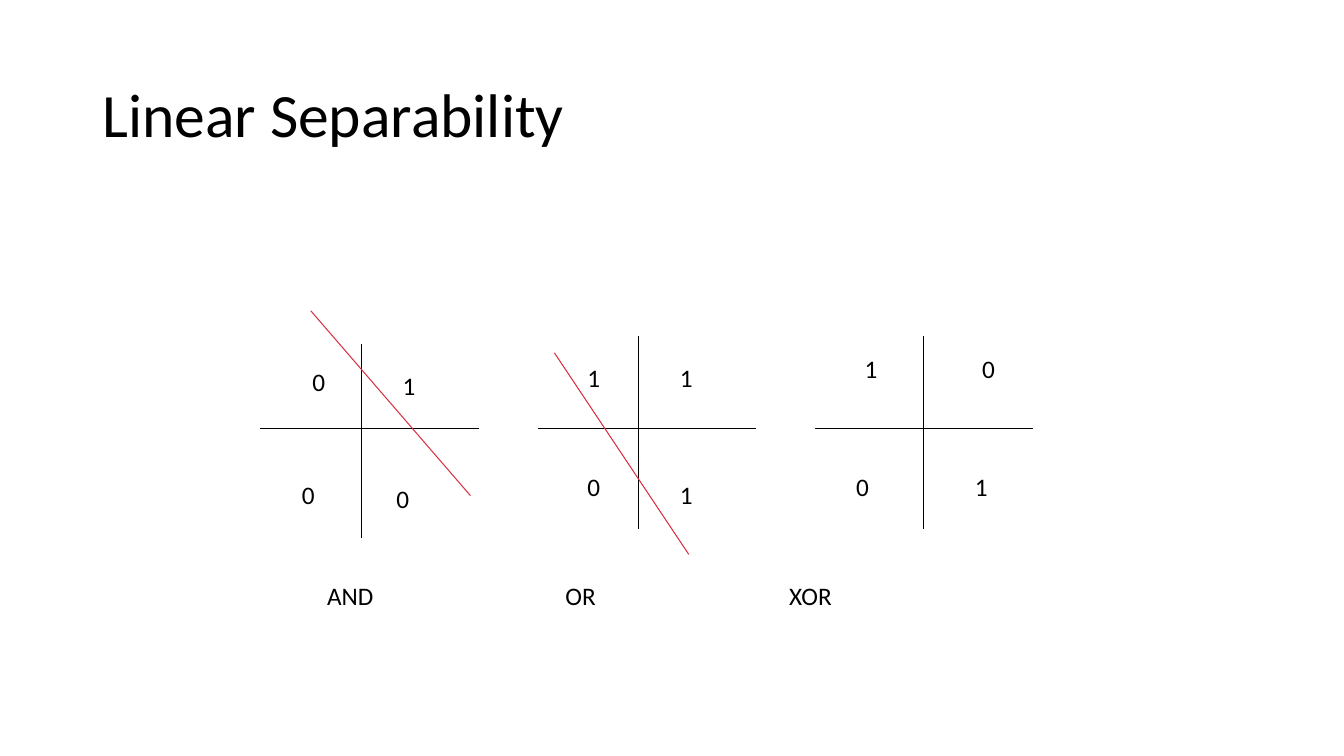
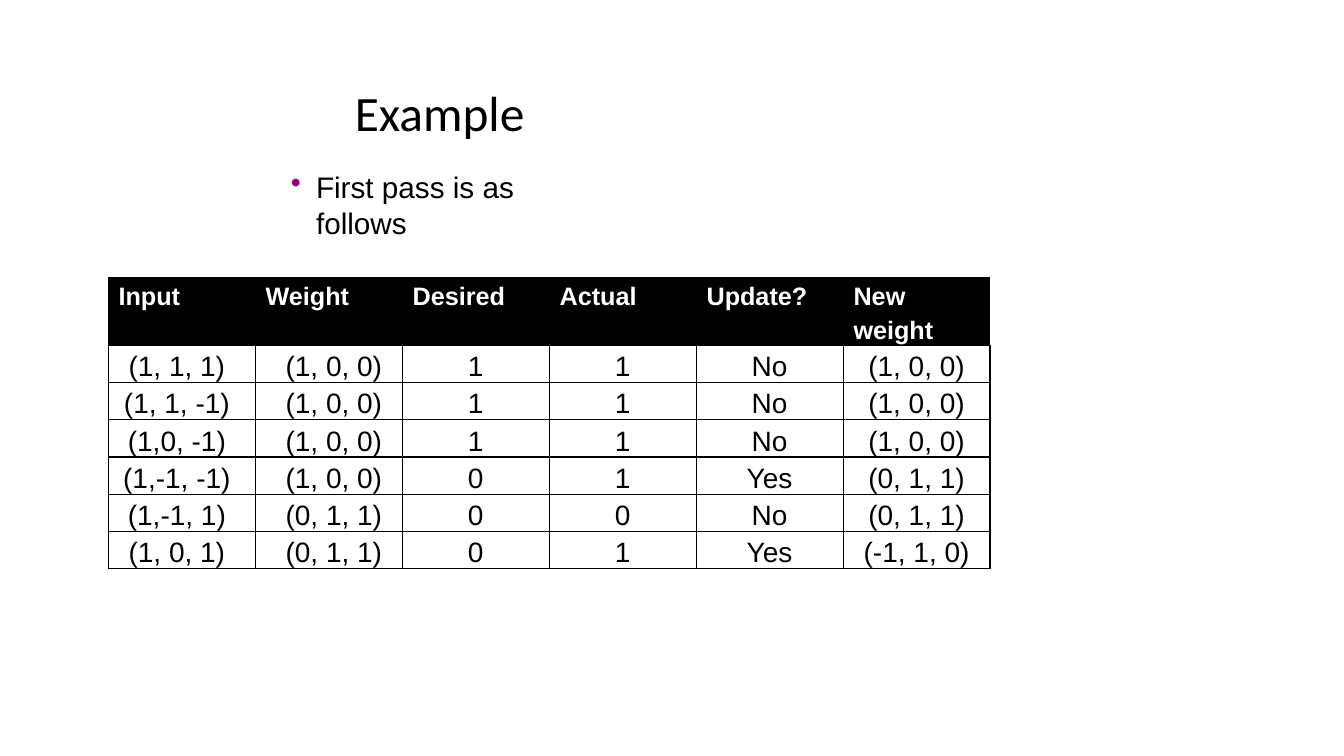
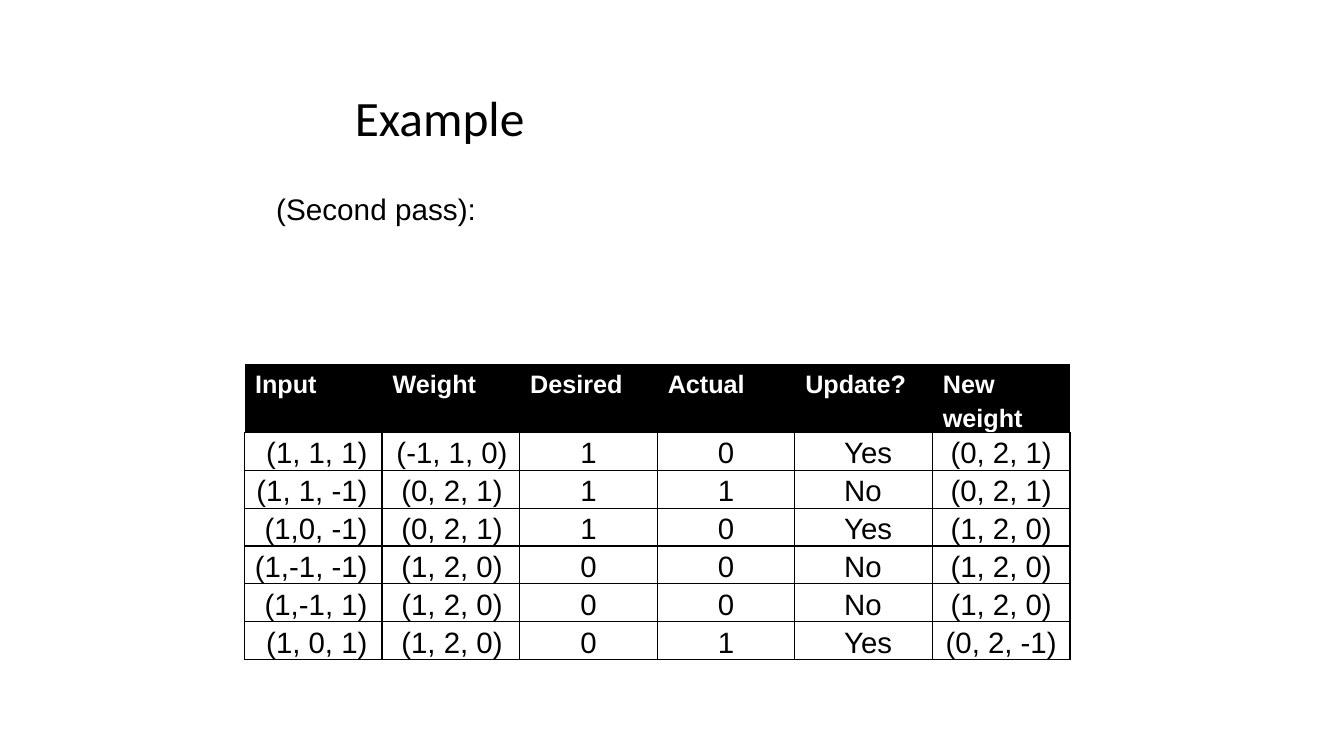
from lxml.etree import SubElement
from pptx import Presentation
from pptx.dml.color import RGBColor
from pptx.enum.shapes import MSO_CONNECTOR
from pptx.enum.text import MSO_ANCHOR, PP_ALIGN
from pptx.oxml.ns import qn
from pptx.util import Emu, Pt

BLACK, WHITE, RED, PURPLE = "000000", "FFFFFF", "D93145", "9C007E"
PLAIN_TABLE = "{2D5ABB26-0587-4C30-8999-92F81FD0307C}"
LEFT, CENTER, RIGHT = PP_ALIGN.LEFT, PP_ALIGN.CENTER, PP_ALIGN.RIGHT

# Digits are (text, left, top); axis is (left, top) of the vertical axis.
GATES = [
    {"axis": (344, 328), "separator": (296, 296, 448, 472),
     "digits": [("0", 288, 344), ("1", 374, 348), ("0", 278, 452), ("0", 368, 456)]},
    {"axis": (608, 320), "separator": (528, 336, 656, 528),
     "digits": [("1", 550, 340), ("1", 638, 340), ("0", 550, 444), ("1", 638, 452)]},
    {"axis": (880, 320), "separator": None,
     "digits": [("1", 814, 332), ("0", 926, 332), ("0", 806, 444), ("1", 919, 444)]},
]
GATE_NAMES = "AND\tOR\tXOR"
GATE_TABS = [227, 440]

HEADINGS = ["Input", "Weight", "Desired", "Actual", "Update?", "New\nweight"]
MIDDLE = (CENTER, 0, 0)
# Columns are (alignment, left margin, right margin).
PASSES = [
    {"title_top": 76, "caption": "First pass is as follows", "caption_at": (276, 160, 308, 36),
     "bullet": True, "at": (103, 264), "column": 140, "row": 35, "size": 20, "leading": 26.6,
     "heavy": 1,
     "columns": [(CENTER, 0, 9), (RIGHT, 0, 19), MIDDLE, MIDDLE, MIDDLE, MIDDLE],
     "rows": [("(1, 1, 1)", "(1, 0, 0)", "1", "1", "No", "(1, 0, 0)"),
              ("(1, 1, -1)", "(1, 0, 0)", "1", "1", "No", "(1, 0, 0)"),
              ("(1,0, -1)", "(1, 0, 0)", "1", "1", "No", "(1, 0, 0)"),
              ("(1,-1, -1)", "(1, 0, 0)", "0", "1", "Yes", "(0, 1, 1)"),
              ("(1,-1, 1)", "(0, 1, 1)", "0", "0", "No", "(0, 1, 1)"),
              ("(1, 0, 1)", "(0, 1, 1)", "0", "1", "Yes", "(-1, 1, 0)")]},
    {"title_top": 81, "caption": "(Second pass):", "caption_at": (263, 181, 562, 36),
     "bullet": False, "at": (233, 347), "column": 131, "row": 36, "size": 21, "leading": 27,
     "heavy": 1.5,
     "columns": [(RIGHT, 0, 14), (CENTER, 2, 0), MIDDLE, MIDDLE, (LEFT, 47, 0), MIDDLE],
     "rows": [("(1, 1, 1)", "(-1, 1, 0)", "1", "0", "Yes", "(0, 2, 1)"),
              ("(1, 1, -1)", "(0, 2, 1)", "1", "1", "No", "(0, 2, 1)"),
              ("(1,0, -1)", "(0, 2, 1)", "1", "0", "Yes", "(1, 2, 0)"),
              ("(1,-1, -1)", "(1, 2, 0)", "0", "0", "No", "(1, 2, 0)"),
              ("(1,-1, 1)", "(1, 2, 0)", "0", "0", "No", "(1, 2, 0)"),
              ("(1, 0, 1)", "(1, 2, 0)", "0", "1", "Yes", "(0, 2, -1)")]},
]


def px(length):
    return Emu(length * 9525)


def rgb(code):
    return RGBColor.from_string(code)


def style(paragraph, size, font="Calibri", color=BLACK, bold=False):
    paragraph.font.size = Pt(size)
    paragraph.font.name = font
    paragraph.font.bold = bold
    paragraph.font.color.rgb = rgb(color)


def add_text(slide, text, box, size, font="Calibri", inset=True, wrap=True, prepare=None):
    """Add a one-paragraph text box; prepare(paragraph) runs before the font is set."""
    frame = slide.shapes.add_textbox(*map(px, box)).text_frame
    frame.word_wrap = wrap
    if not inset:
        frame.margin_left = frame.margin_right = frame.margin_bottom = 0
        frame.margin_top = px(1)
    paragraph = frame.paragraphs[0]
    paragraph.text = text
    if prepare:
        prepare(paragraph)
    style(paragraph, size, font)
    return frame


def add_title(slide, text, box, size, inset=True):
    frame = add_text(slide, text, box, size, inset=inset)
    frame.vertical_anchor = MSO_ANCHOR.MIDDLE
    return frame


def add_bullet(paragraph):
    properties = paragraph._p.get_or_add_pPr()
    properties.set("marL", str(px(25)))
    properties.set("indent", str(-px(24)))
    SubElement(SubElement(properties, qn("a:buClr")), qn("a:srgbClr"), val=PURPLE)
    SubElement(properties, qn("a:buChar"), char="•")


def add_gate_tabs(paragraph):
    tabs = SubElement(paragraph._p.get_or_add_pPr(), qn("a:tabLst"))
    for position in GATE_TABS:
        SubElement(tabs, qn("a:tab"), pos=str(px(position)), algn="l")


def add_line(slide, ends, color=BLACK):
    line = slide.shapes.add_connector(MSO_CONNECTOR.STRAIGHT, *map(px, ends))
    line.line.color.rgb = rgb(color)
    line.line.width = Pt(0.75)
    SubElement(line._element.spPr, qn("a:effectLst"))


def add_borders(cell, widths):
    """Draw black borders; widths are points for left, right, top, bottom."""
    properties = cell._tc.get_or_add_tcPr()
    for index, (side, width) in enumerate(zip("LRTB", widths)):
        border = properties.makeelement(qn(f"a:ln{side}"), {"w": str(Pt(width))})
        fill = SubElement(border, qn("a:solidFill"))
        SubElement(fill, qn("a:srgbClr"), val=BLACK)
        properties.insert(index, border)


def fill_cell(cell, text, layout, leading, size, color=BLACK, bold=False):
    alignment, left, right = layout
    cell.margin_left, cell.margin_right = px(left), px(right)
    cell.margin_top = cell.margin_bottom = 0
    cell.text = text
    for paragraph in cell.text_frame.paragraphs:
        paragraph.alignment = alignment
        paragraph.line_spacing = Pt(leading)
        style(paragraph, size, "Arial", color, bold)


def add_pass_table(slide, data):
    rows, heading_height = data["rows"], 64
    count = len(HEADINGS)
    size = (data["column"] * count, heading_height + data["row"] * len(rows))
    table = slide.shapes.add_table(len(rows) + 1, count, *map(px, data["at"] + size)).table
    table.horz_banding = False
    table._tbl.tblPr.find(qn("a:tableStyleId")).text = PLAIN_TABLE
    for column in table.columns:
        column.width = px(data["column"])
    for index, row in enumerate(table.rows):
        row.height = px(data["row"] if index else heading_height)

    for c, heading in enumerate(HEADINGS):
        cell = table.cell(0, c)
        fill_cell(cell, heading, (LEFT, 10, 0), 24.3, 18, WHITE, True)
        cell.fill.solid()
        cell.fill.fore_color.rgb = rgb(BLACK)
    for r, values in enumerate(rows, 1):
        for c, value in enumerate(values):
            cell = table.cell(r, c)
            fill_cell(cell, value, data["columns"][c], data["leading"], data["size"])
            cell.fill.background()
            heavy = data["heavy"]
            add_borders(cell, (heavy if c == 1 else 1, heavy if c == 0 else 1,
                               1, heavy if r == len(rows) else 1))


def build_separability(slide):
    add_title(slide, "Linear Separability", (88, 38, 1104, 139), 44)
    for index, gate in enumerate(GATES):
        left = 248 + 264 * index
        x, top = gate["axis"]
        add_line(slide, (left, 408, left + 208, 408))
        add_line(slide, (x, top, x, top + 184))
        for digit, digit_left, digit_top in gate["digits"]:
            add_text(slide, digit, (digit_left, digit_top, 32, 38), 18, wrap=False)
        if gate["separator"]:
            add_line(slide, gate["separator"], RED)
    add_text(slide, GATE_NAMES, (302, 548, 512, 38), 18, prepare=add_gate_tabs)


def build_pass(slide, data):
    add_title(slide, "Example", (338, data["title_top"], 185, 59), 35.3, inset=False)
    add_text(slide, data["caption"], data["caption_at"], 21.2, "Arial", inset=False,
             prepare=add_bullet if data["bullet"] else None)
    add_pass_table(slide, data)


def main():
    deck = Presentation()
    deck.slide_width, deck.slide_height = px(1280), px(720)
    blank = deck.slide_layouts[6]
    build_separability(deck.slides.add_slide(blank))
    for data in PASSES:
        build_pass(deck.slides.add_slide(blank), data)
    deck.save("out.pptx")


if __name__ == "__main__":
    main()
